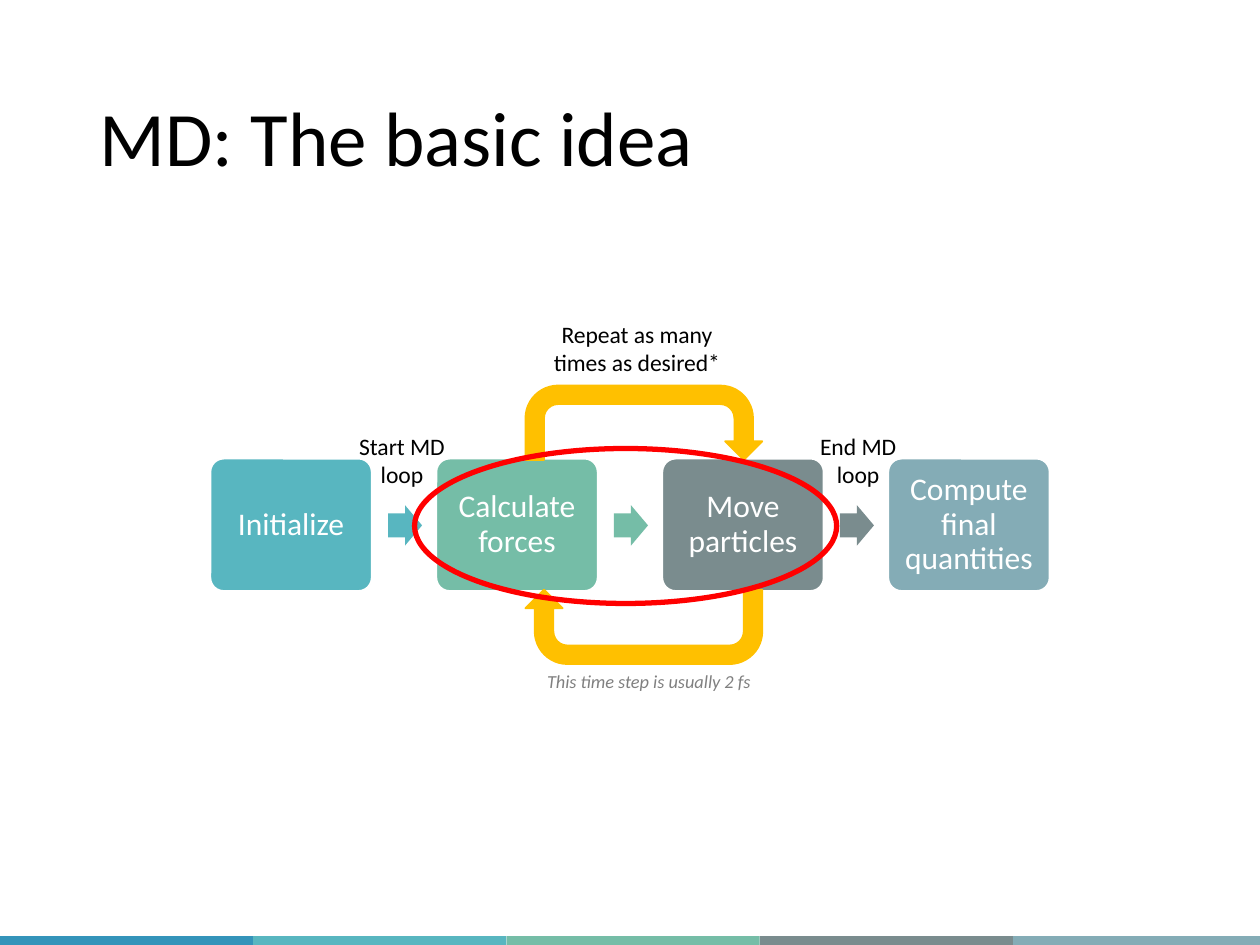
from pptx import Presentation
from pptx.dml.color import RGBColor
from pptx.enum.shapes import MSO_SHAPE
from pptx.enum.text import MSO_ANCHOR, PP_ALIGN
from pptx.util import Inches, Pt

BLUE = RGBColor(0x34, 0x94, 0xBA)
TEAL = RGBColor(0x58, 0xB6, 0xC0)
GREEN = RGBColor(0x75, 0xBD, 0xA7)
SLATE = RGBColor(0x7A, 0x8C, 0x8E)
STEEL = RGBColor(0x84, 0xAC, 0xB6)
GOLD = RGBColor(0xFF, 0xC0, 0x00)
RED = RGBColor(0xFF, 0x00, 0x00)
GRAY = RGBColor(0x80, 0x80, 0x80)
BLACK = RGBColor(0x00, 0x00, 0x00)
WHITE = RGBColor(0xFF, 0xFF, 0xFF)


class Deck:
    font = "Calibri"

    def __init__(self, slide):
        self.slide = slide

    def fill_text(self, frame, text, size, color, align=PP_ALIGN.CENTER,
                  space=None, italic=None):
        frame.text = text
        frame.word_wrap = True
        para = frame.paragraphs[0]
        para.alignment = align
        para.line_spacing = space
        for run in para.runs:
            font = run.font
            font.name, font.size, font.italic = self.font, Pt(size), italic
            font.color.rgb = color

    def title(self, text, x, y, w, h):
        head = self.slide.shapes.title
        head.left, head.top = Inches(x), Inches(y)
        head.width, head.height = Inches(w), Inches(h)
        self.fill_text(head.text_frame, text, 44, BLACK, PP_ALIGN.LEFT, 0.9)
        head.text_frame.vertical_anchor = MSO_ANCHOR.MIDDLE

    def shape(self, kind, x, y, w, h, fill=None, line=None, width=1, adjust=()):
        item = self.slide.shapes.add_shape(
            kind, Inches(x), Inches(y), Inches(w), Inches(h))
        item.shadow.inherit = False
        for i, value in enumerate(adjust):
            item.adjustments[i] = value
        if fill is None:
            item.fill.background()
        else:
            item.fill.solid()
            item.fill.fore_color.rgb = fill
        if line is None:
            item.line.fill.background()
        else:
            item.line.color.rgb = line
            item.line.width = Pt(width)
        return item

    def step(self, text, x, y, w, h, fill):
        box = self.shape(MSO_SHAPE.ROUNDED_RECTANGLE, x, y, w, h,
                         fill, WHITE, adjust=[0.1])
        frame = box.text_frame
        frame.margin_left = frame.margin_right = Inches(0.07)
        frame.margin_top = frame.margin_bottom = Inches(0.07)
        frame.vertical_anchor = MSO_ANCHOR.MIDDLE
        self.fill_text(frame, text, 18, WHITE, space=0.9)

    def turn(self, y, angle=0):
        arrow = self.shape(MSO_SHAPE.U_TURN_ARROW, 4.17, y, 1.88, 0.59,
                           GOLD, GOLD, adjust=[0.25, 0.25, 0.25, 0.44, 1])
        arrow.rotation = angle

    def label(self, text, x, y, w, h, size=13.5, color=BLACK, italic=None):
        box = self.slide.shapes.add_textbox(
            Inches(x), Inches(y), Inches(w), Inches(h))
        self.fill_text(box.text_frame, text, size, color, italic=italic)


def main():
    prs = Presentation()
    prs.slide_width, prs.slide_height = Inches(10), Inches(7.5)
    deck = Deck(prs.slides.add_slide(prs.slide_layouts[5]))

    # Colour strip along the bottom
    for i, color in enumerate([BLUE, TEAL, GREEN, SLATE, STEEL]):
        deck.shape(MSO_SHAPE.RECTANGLE, i * 2.01, 7.43, 2.01, 0.1, color)

    deck.title("MD: The basic idea", 0.69, 0.4, 8.62, 1.45)

    # Four steps, with an arrow after each but the last
    steps = [("Initialize", TEAL), ("Calculate forces", GREEN),
             ("Move particles", SLATE), ("Compute final quantities", STEEL)]
    pitch = (7.05 - 1.67) / 3
    for i, (text, color) in enumerate(steps):
        x = 1.67 + i * pitch
        deck.step(text, x, 3.64, 1.28, 1.05, color)
        if i < len(steps) - 1:
            deck.shape(MSO_SHAPE.RIGHT_ARROW, x + 1.41, 4.01, 0.27, 0.32,
                       color, adjust=[0.6, 0.5])

    # Loop arrows
    deck.turn(3.06)
    deck.turn(4.68, 180)

    # Labels
    deck.label("Start MD loop", 2.75, 3.38, 0.88, 0.56)
    deck.label("End MD loop", 6.37, 3.38, 0.88, 0.56)
    deck.label("Repeat as many times as desired*", 4.26, 2.49, 1.59, 0.56)
    deck.label("This time step is usually 2 fs", 4.04, 5.27, 2.22, 0.28,
               10.5, GRAY, True)

    # Ring around the loop
    deck.shape(MSO_SHAPE.OVAL, 3.29, 3.56, 3.35, 1.23, line=RED, width=3)

    prs.save("out.pptx")


if __name__ == "__main__":
    main()
